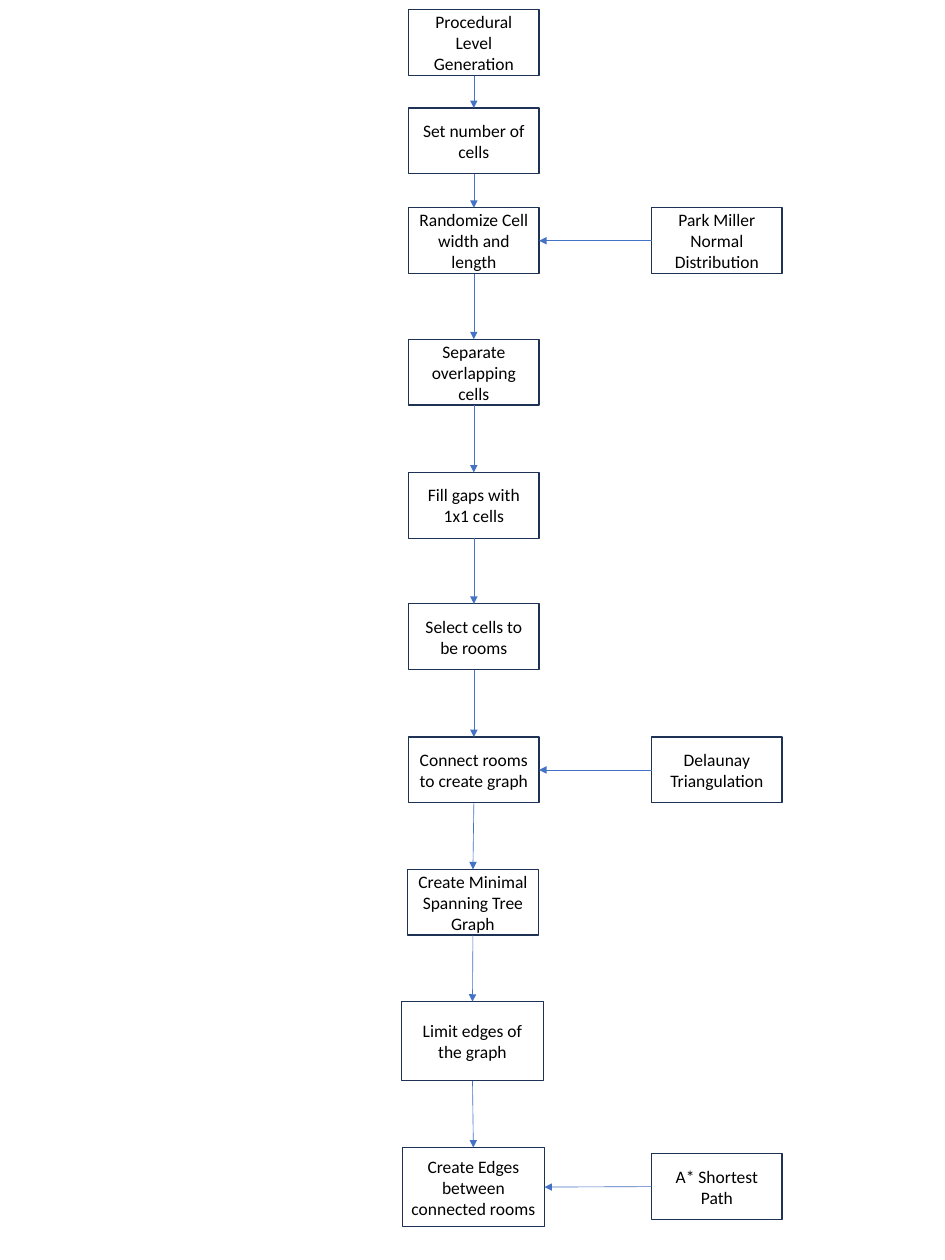
import pptx
import pptx.util
import pptx.dml.color
import pptx.enum.shapes
import pptx.enum.text
import pptx.oxml.ns
import lxml.etree

Inches = pptx.util.Inches

SMALL = (1.45, 0.73)
LARGE = (1.58, 0.88)

STEPS = [
    ("Procedural Level Generation", 4.54, 0.11, SMALL),
    ("Set number of cells", 4.54, 1.2, SMALL),
    ("Randomize Cell width and length", 4.54, 2.31, SMALL),
    ("Separate overlapping cells", 4.54, 3.77, SMALL),
    ("Fill gaps with 1x1 cells", 4.54, 5.25, SMALL),
    ("Select cells to be rooms", 4.54, 6.71, SMALL),
    ("Connect rooms to create graph", 4.54, 8.19, SMALL),
    ("Create Minimal Spanning Tree Graph", 4.53, 9.66, SMALL),
    ("Limit edges of the graph", 4.46, 11.13, LARGE),
    ("Create Edges between connected rooms", 4.47, 12.75, LARGE),
]
METHODS = [
    ("Park Miller Normal Distribution", 2.31, 2),
    ("Delaunay Triangulation", 8.19, 6),
    ("A* Shortest Path", 12.82, 9),
]
METHOD_LEFT = 7.24
TOP, LEFT, BOTTOM, RIGHT = range(4)


def color(code):
    return pptx.dml.color.RGBColor.from_string(code)


def add_box(slide, text, left, top, size):
    box = slide.shapes.add_shape(
        pptx.enum.shapes.MSO_SHAPE.RECTANGLE,
        Inches(left), Inches(top), Inches(size[0]), Inches(size[1]))
    box.shadow.inherit = False
    box.fill.solid()
    box.fill.fore_color.rgb = color("FFFFFF")
    box.line.color.rgb = color("1E3256")
    box.line.width = pptx.util.Pt(1)
    frame = box.text_frame
    frame.word_wrap = True
    frame.vertical_anchor = pptx.enum.text.MSO_ANCHOR.MIDDLE
    frame.text = text
    para = frame.paragraphs[0]
    para.alignment = pptx.enum.text.PP_ALIGN.CENTER
    font = para.runs[0].font
    font.name = "Calibri"
    font.size = pptx.util.Pt(14)
    font.color.rgb = color("000000")
    return box


def add_arrow(slide, start, exit_side, end, entry_side):
    arrow = slide.shapes.add_connector(
        pptx.enum.shapes.MSO_CONNECTOR.STRAIGHT, 0, 0, 0, 0)
    arrow.begin_connect(start, exit_side)
    arrow.end_connect(end, entry_side)
    arrow.line.color.rgb = color("4472C4")
    arrow.line.width = pptx.util.Pt(0.5)
    props = arrow._element.spPr
    qn = pptx.oxml.ns.qn
    lxml.etree.SubElement(props.find(qn("a:ln")), qn("a:tailEnd"), type="triangle")
    lxml.etree.SubElement(props, qn("a:effectLst"))


def main():
    deck = pptx.Presentation()
    deck.slide_width = Inches(10.5)
    deck.slide_height = Inches(14)
    slide = deck.slides.add_slide(deck.slide_layouts[6])

    steps = [add_box(slide, *step) for step in STEPS]
    methods = [add_box(slide, text, METHOD_LEFT, top, SMALL)
               for text, top, _ in METHODS]

    for start, end in zip(steps, steps[1:]):
        add_arrow(slide, start, BOTTOM, end, TOP)
    for box, (_, _, target) in zip(methods, METHODS):
        add_arrow(slide, box, LEFT, steps[target], RIGHT)

    deck.save("out.pptx")


if __name__ == "__main__":
    main()
